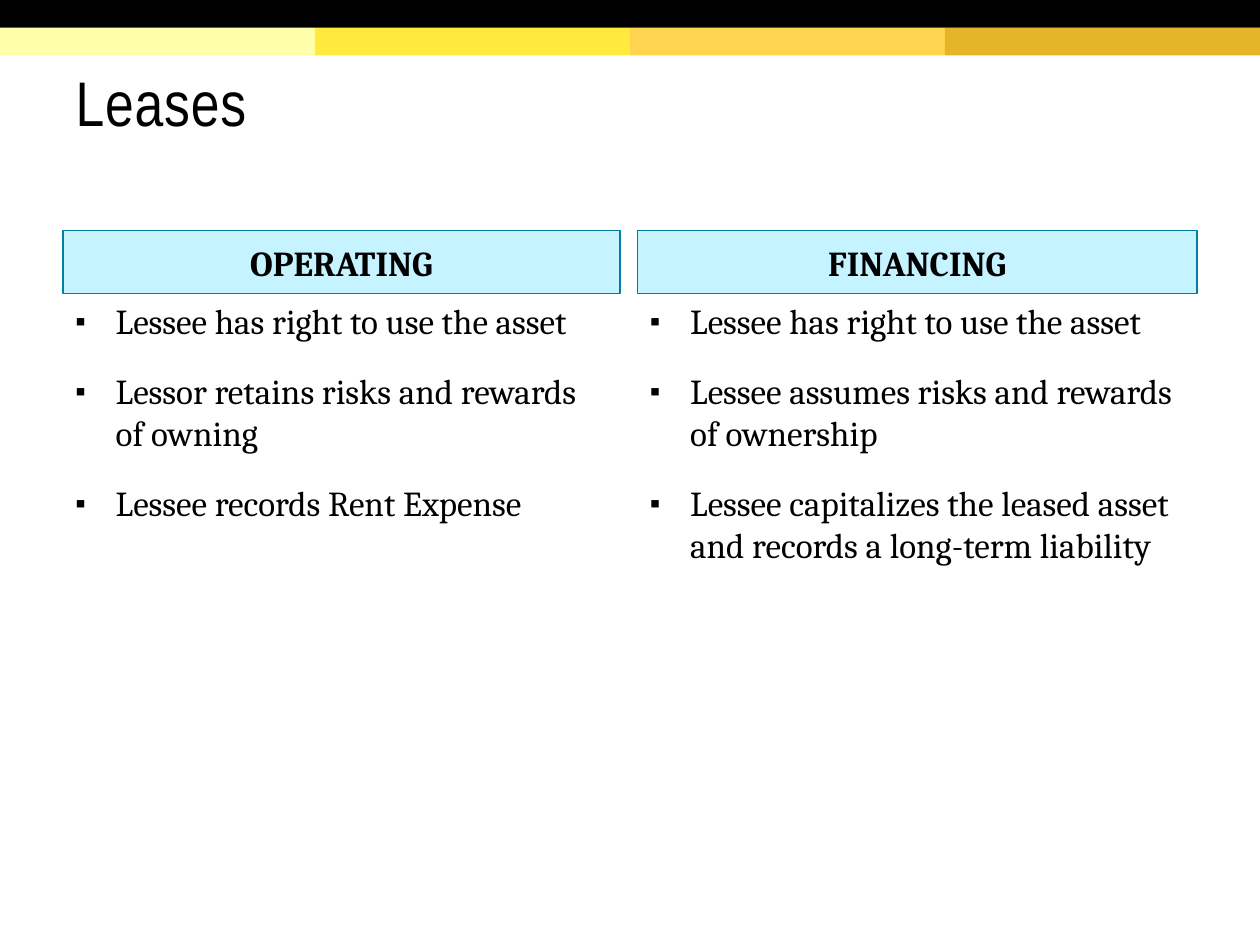
from lxml import etree
from pptx import Presentation
from pptx import util as u
from pptx.dml.color import RGBColor
from pptx.enum import shapes, text
from pptx.oxml import ns

COLORS = {
    "black": "000000",
    "header_fill": "C5F3FF",
    "header_line": "007FA3",
}
BAND_COLORS = ["FFFFAA", "FFEA3D", "FFD54F", "E4B429"]
BAND_HEIGHT = 0.22
COLUMNS = [
    (0.5, 4.42, "OPERATING", [
        "Lessee has right to use the asset",
        "Lessor retains risks and rewards of owning",
        "Lessee records Rent Expense",
    ]),
    (5.06, 4.44, "FINANCING", [
        "Lessee has right to use the asset",
        "Lessee assumes risks and rewards of ownership",
        "Lessee capitalizes the leased asset and records a long-term liability",
    ]),
]


def place(shape, left, top, width, height):
    """Set the position and size of a shape in inches."""
    shape.left, shape.top = u.Inches(left), u.Inches(top)
    shape.width, shape.height = u.Inches(width), u.Inches(height)


def write_text(paragraph, content, size=20, font="Cambria", bold=False,
               align=text.PP_ALIGN.LEFT, gap=8, line_spacing=1.0):
    """Write formatted text into a paragraph and return its run."""
    paragraph.alignment = align
    paragraph.space_before = paragraph.space_after = u.Pt(gap)
    paragraph.line_spacing = line_spacing
    run = paragraph.add_run()
    run.text = content
    run.font.size = u.Pt(size)
    run.font.name = font
    run.font.bold = bold
    run.font.color.rgb = RGBColor.from_string(COLORS["black"])
    return run


def add_bullet(paragraph, indent=0.32):
    """Give a paragraph a square bullet with a hanging indent."""
    properties = paragraph._p.get_or_add_pPr()
    properties.set("marL", str(u.Inches(indent)))
    properties.set("indent", str(-u.Inches(indent)))
    color = etree.SubElement(properties, ns.qn("a:buClr"))
    etree.SubElement(color, ns.qn("a:srgbClr"), val=COLORS["black"])
    etree.SubElement(properties, ns.qn("a:buSzPct"), val="85000")
    etree.SubElement(properties, ns.qn("a:buFont"), typeface="Arial")
    etree.SubElement(properties, ns.qn("a:buChar"), char="▪")


def add_rectangle(slide, left, top, width, height, fill, line=None):
    """Add a filled rectangle, outlined when a line colour is given."""
    shape = slide.shapes.add_shape(shapes.MSO_SHAPE.RECTANGLE, 0, 0, 0, 0)
    place(shape, left, top, width, height)
    shape.shadow.inherit = False
    shape.fill.solid()
    shape.fill.fore_color.rgb = RGBColor.from_string(fill)
    if line:
        shape.line.color.rgb = RGBColor.from_string(line)
        shape.line.width = u.Pt(0.75)
    else:
        shape.line.fill.background()
    return shape


def add_bands(slide):
    """Add the black bar and the row of yellow bands below it."""
    width = 10 / len(BAND_COLORS)
    for index, color in enumerate(BAND_COLORS):
        add_rectangle(slide, index * width, BAND_HEIGHT, width, BAND_HEIGHT, color)
    add_rectangle(slide, 0, 0, 10, BAND_HEIGHT, COLORS["black"])


def add_title(slide, content):
    """Place and format the slide title."""
    title = slide.shapes.title
    place(title, 0.5, 0.23, 9, 1.2)
    frame = title.text_frame
    frame.vertical_anchor = text.MSO_ANCHOR.MIDDLE
    frame.auto_size = text.MSO_AUTO_SIZE.NONE
    frame.margin_top = u.Inches(0.1)
    run = write_text(frame.paragraphs[0], content, size=36, font="Arial Narrow",
                     gap=0, line_spacing=0.85)
    run.font._element.set("spc", "50")


def add_column(slide, left, width, heading, items):
    """Add a heading box with a bulleted list under it."""
    header = add_rectangle(slide, left, 1.83, width, 0.5,
                           COLORS["header_fill"], COLORS["header_line"])
    header.text_frame.vertical_anchor = text.MSO_ANCHOR.MIDDLE
    write_text(header.text_frame.paragraphs[0], heading, bold=True,
               align=text.PP_ALIGN.CENTER)
    box = slide.shapes.add_textbox(0, 0, 0, 0)
    place(box, left, 2.33, width, 4.03)
    frame = box.text_frame
    frame.word_wrap = True
    for index, item in enumerate(items):
        paragraph = frame.add_paragraph() if index else frame.paragraphs[0]
        write_text(paragraph, item)
        add_bullet(paragraph)


def main():
    """Build the slide on leases and save it."""
    presentation = Presentation()
    presentation.slide_width = u.Inches(10)
    presentation.slide_height = u.Inches(7.5)
    slide = presentation.slides.add_slide(presentation.slide_layouts[5])
    add_bands(slide)
    add_title(slide, "Leases")
    for column in COLUMNS:
        add_column(slide, *column)
    presentation.save("out.pptx")


if __name__ == "__main__":
    main()
